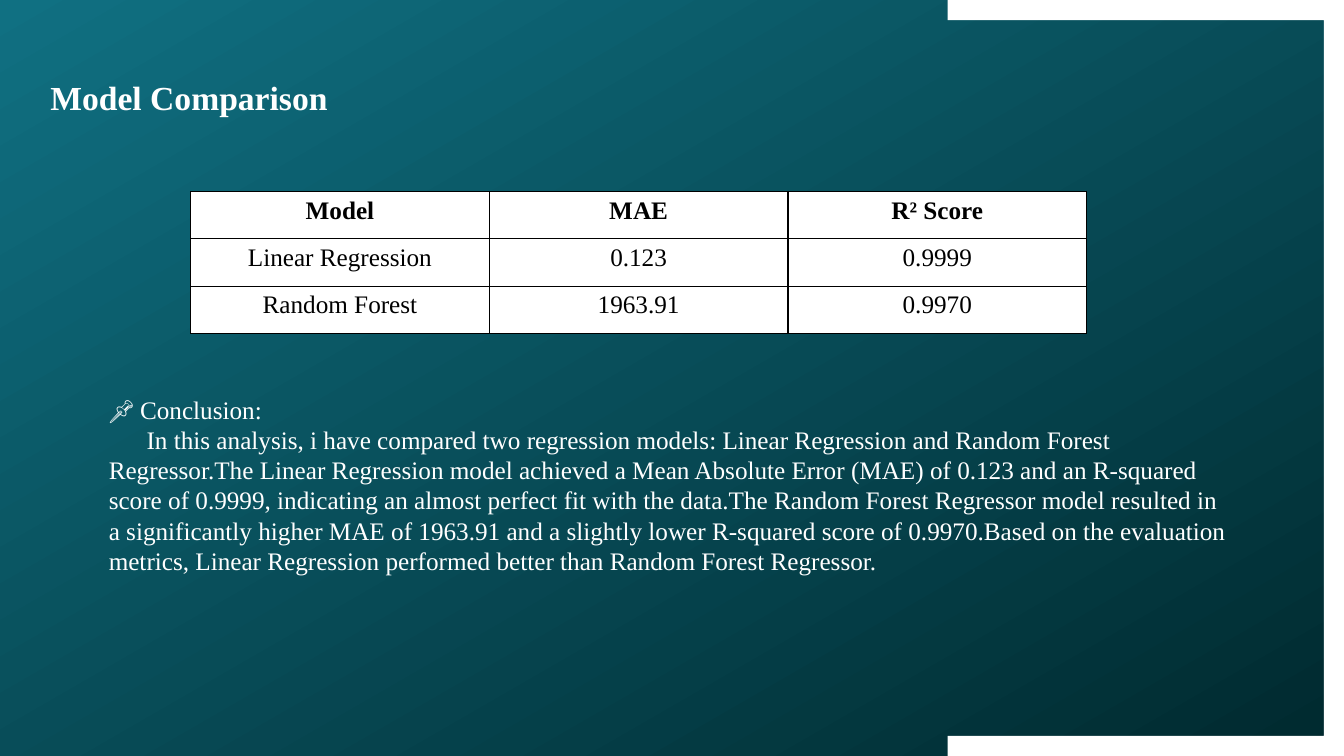
"""Build the model comparison slide with its results table and conclusion."""
from dataclasses import dataclass

import pptx
import pptx.dml.color
import pptx.enum.text
import pptx.oxml
import pptx.oxml.ns
import pptx.util

TITLE = "Model Comparison"
RESULTS = [
    ("Model", "MAE", "R² Score"),
    ("Linear Regression", "0.123", "0.9999"),
    ("Random Forest", "1963.91", "0.9970"),
]
CONCLUSION = [
    ("📌 Conclusion:", 0),
    (
        "In this analysis, i have compared two regression models: Linear Regression "
        "and Random Forest Regressor.The Linear Regression model achieved a Mean "
        "Absolute Error (MAE) of 0.123 and an R-squared score of 0.9999, indicating "
        "an almost perfect fit with the data.The Random Forest Regressor model "
        "resulted in a significantly higher MAE of 1963.91 and a slightly lower "
        "R-squared score of 0.9970.Based on the evaluation metrics, Linear Regression "
        "performed better than Random Forest Regressor.",
        27,
    ),
]

PAGE_WIDTH, PAGE_HEIGHT = 960, 540
TITLE_BOX = (28.8, 51.1, 214.6, 36)
TABLE_BOX = (136.2, 136.8, 640, 101.5)
CONCLUSION_BOX = (70.6, 277.9, 817.2, 138.2)
BRACKET_LEFT, BRACKET_THICKNESS = 676.8, 14.4
TITLE_ONLY_LAYOUT = 5


@dataclass(frozen=True)
class Theme:
    """Colours, typeface and type sizes of the slide."""

    font: str = "Times New Roman"
    dark: str = "00292E"
    teal: str = "107082"
    white: str = "FFFFFF"
    black: str = "000000"
    title_size: float = 24
    body_size: float = 18
    border: float = 1
    gradient_angle: float = 120


THEME = Theme()


def points(values):
    """Turn numbers into point lengths."""
    return [pptx.util.Pt(value) for value in values]


def rgb(code):
    """Turn a hex code into a colour."""
    return pptx.dml.color.RGBColor.from_string(code)


def style(para, size, color, bold=False):
    """Set the typeface of a whole paragraph."""
    font = para.font
    font.name, font.size, font.bold = THEME.font, pptx.util.Pt(size), bold
    font.color.rgb = rgb(color)


def paint_background(page):
    """Fill the page with the diagonal teal gradient."""
    fill = page.background.fill
    fill.gradient()
    fill.gradient_angle = THEME.gradient_angle
    for stop, color, position in zip(fill.gradient_stops, (THEME.dark, THEME.teal), (0, 1)):
        stop.color.rgb = rgb(color)
        stop.position = position


def add_bracket(page):
    """Draw the white bracket along the right edge."""
    inner_right = PAGE_WIDTH - BRACKET_THICKNESS
    inner_bottom = PAGE_HEIGHT - BRACKET_THICKNESS
    corners = [
        (BRACKET_LEFT, 0),
        (PAGE_WIDTH, 0),
        (PAGE_WIDTH, PAGE_HEIGHT),
        (BRACKET_LEFT, PAGE_HEIGHT),
        (BRACKET_LEFT, inner_bottom),
        (inner_right, inner_bottom),
        (inner_right, BRACKET_THICKNESS),
        (BRACKET_LEFT, BRACKET_THICKNESS),
    ]
    start, *rest = [points(corner) for corner in corners]
    builder = page.shapes.build_freeform(*start)
    builder.add_line_segments(rest, close=True)
    bracket = builder.convert_to_shape()
    bracket.shadow.inherit = False
    bracket.fill.solid()
    bracket.fill.fore_color.rgb = rgb(THEME.white)
    bracket.line.fill.background()


def set_title(page):
    """Place and format the title."""
    title = page.shapes.title
    title.left, title.top, title.width, title.height = points(TITLE_BOX)
    frame = title.text_frame
    frame.text = TITLE
    frame.word_wrap = False
    frame.auto_size = pptx.enum.text.MSO_AUTO_SIZE.NONE
    frame.vertical_anchor = pptx.enum.text.MSO_ANCHOR.TOP
    para = frame.paragraphs[0]
    para.alignment = pptx.enum.text.PP_ALIGN.LEFT
    style(para, THEME.title_size, THEME.white, bold=True)


def add_borders(cell):
    """Draw a thin line on every side of a cell."""
    properties = cell._tc.get_or_add_tcPr()
    for index, side in enumerate("LRTB"):
        line = pptx.oxml.parse_xml(
            f'<a:ln{side} {pptx.oxml.ns.nsdecls("a")} w="{pptx.util.Pt(THEME.border)}">'
            f'<a:solidFill><a:srgbClr val="{THEME.black}"/></a:solidFill></a:ln{side}>'
        )
        properties.insert(index, line)


def add_results(page):
    """Add the table of model scores."""
    frame = page.shapes.add_table(len(RESULTS), len(RESULTS[0]), *points(TABLE_BOX))
    table = frame.table
    table.first_row = table.horz_banding = False
    for row, values in enumerate(RESULTS):
        for column, value in enumerate(values):
            cell = table.cell(row, column)
            cell.text = value
            cell.fill.solid()
            cell.fill.fore_color.rgb = rgb(THEME.white)
            add_borders(cell)
            para = cell.text_frame.paragraphs[0]
            para.alignment = pptx.enum.text.PP_ALIGN.CENTER
            style(para, THEME.body_size, THEME.black, bold=row == 0)


def add_conclusion(page):
    """Add the conclusion with an indented first line."""
    box = page.shapes.add_textbox(*points(CONCLUSION_BOX))
    frame = box.text_frame
    frame.word_wrap = True
    for index, (text, indent) in enumerate(CONCLUSION):
        para = frame.add_paragraph() if index else frame.paragraphs[0]
        para.text = text
        para._p.get_or_add_pPr().set("indent", str(pptx.util.Pt(indent)))
        style(para, THEME.body_size, THEME.white)


def main():
    """Assemble and save the slide."""
    deck = pptx.Presentation()
    deck.slide_width, deck.slide_height = points((PAGE_WIDTH, PAGE_HEIGHT))
    page = deck.slides.add_slide(deck.slide_layouts[TITLE_ONLY_LAYOUT])
    paint_background(page)
    add_bracket(page)
    set_title(page)
    add_results(page)
    add_conclusion(page)
    deck.save("out.pptx")


if __name__ == "__main__":
    main()
